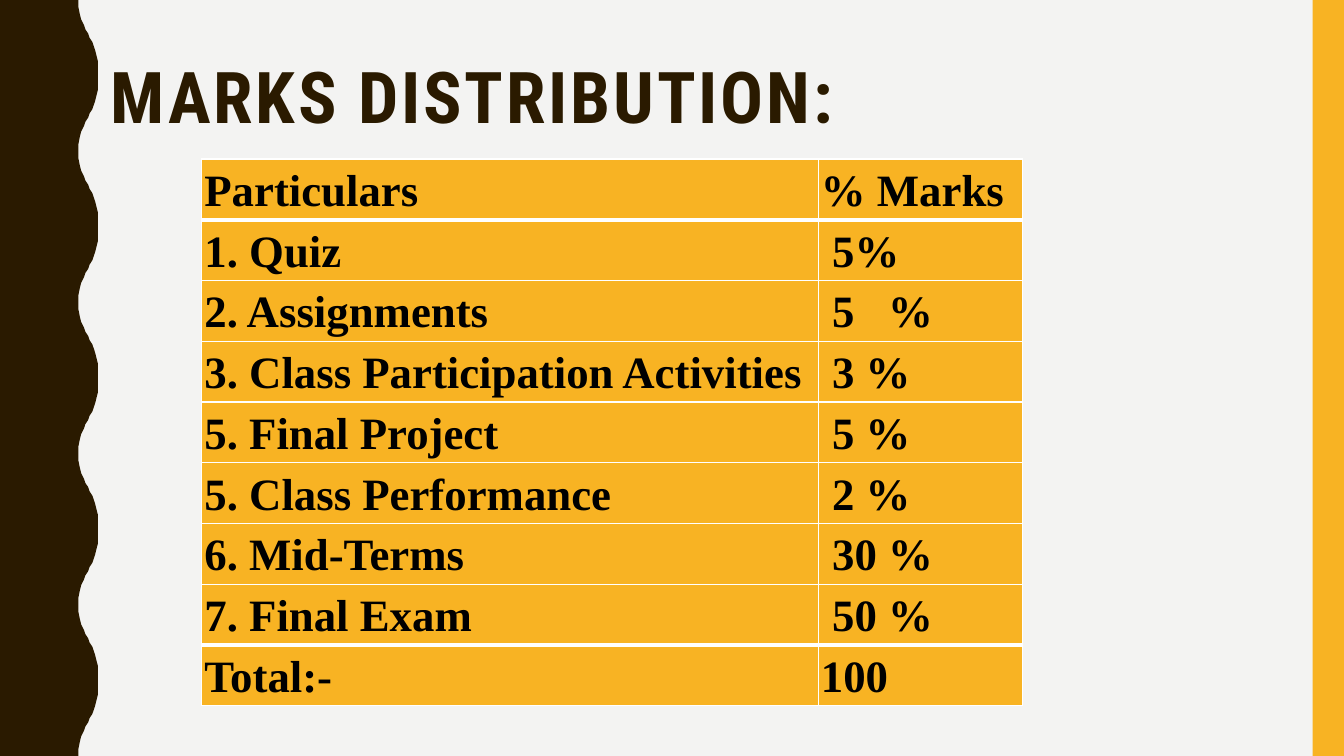
"""Build the marks distribution slide."""
from lxml import etree
from pptx import Presentation
from pptx import util as u
from pptx.dml.color import RGBColor
from pptx.enum import shapes, text
from pptx.oxml.ns import qn

COLORS = {"bg": "F3F3F2", "brown": "2A1A00", "gold": "F8B323", "black": "000000", "white": "FFFFFF"}
TITLE_FONT = {"name": "Roboto Condensed", "size": u.Pt(51), "bold": True}
CELL_FONT = {"name": "Times New Roman", "size": u.Pt(32), "bold": True}
CELL_FORMAT = {"margin_left": u.Pt(2), "margin_right": u.Pt(2), "margin_top": 0, "margin_bottom": 0,
               "vertical_anchor": text.MSO_ANCHOR.MIDDLE}
ROWS = [
    ("Particulars", "% Marks"),
    ("1. Quiz", "5%"),
    ("2. Assignments", "5\t%"),
    ("3. Class Participation Activities", "3 %"),
    ("5. Final Project", "5 %"),
    ("5. Class Performance", "2 %"),
    ("6. Mid-Terms", "30 %"),
    ("7. Final Exam", "50 %"),
    ("Total:-", "100"),
]
HALF_WAVE = [(56, 0), (56.3, 5), (57, 10), (58.2, 14.4), (59.6, 18), (61.1, 21), (62.6, 24), (64.1, 27),
             (65.6, 30), (67, 33), (68.4, 36.4), (69.2, 39.6), (69.7, 44), (70, 49), (70, 54)]
WAVE = 108


def paint(sp, color):
    sp.shadow.inherit = False
    sp.fill.solid()
    sp.fill.fore_color.rgb = RGBColor.from_string(COLORS[color])
    sp.line.fill.background()


def write(p, words, font, color, spacing):
    p.line_spacing = spacing
    r = p.add_run()
    r.text = words
    for name, value in font.items():
        setattr(r.font, name, value)
    r.font.color.rgb = RGBColor.from_string(COLORS[color])
    return r


prs = Presentation()
prs.slide_width, prs.slide_height = u.Pt(960), u.Pt(540)
s = prs.slides.add_slide(prs.slide_layouts[6])
s.background.fill.solid()
s.background.fill.fore_color.rgb = RGBColor.from_string(COLORS["bg"])

wave = HALF_WAVE + [(x, WAVE - y) for x, y in HALF_WAVE[-2::-1]]
edge = [(x, y + WAVE * i) for i in range(5) for x, y in wave]
outline = s.shapes.build_freeform(0, 0, scale=u.Pt(1))
outline.add_line_segments(edge + [(0, 540)], close=True)
paint(outline.convert_to_shape(), "brown")

bar = s.shapes.add_shape(shapes.MSO_SHAPE.RECTANGLE, u.Pt(937.6), 0, u.Pt(22.4), u.Pt(540))
paint(bar, "gold")

title = s.shapes.add_textbox(u.Pt(72), u.Pt(39.6), u.Pt(658), u.Pt(64.8))
tf = title.text_frame
tf.word_wrap = True
tf.vertical_anchor = text.MSO_ANCHOR.MIDDLE
r = write(tf.paragraphs[0], "MARKS DISTRIBUTION:", TITLE_FONT, "brown", 0.9)
r.font._element.set("spc", "200")

last = len(ROWS) - 1
table = s.shapes.add_table(len(ROWS), 2, u.Pt(144), u.Pt(113.6), u.Pt(586.4), u.Pt(390.6)).table
for column, width in zip(table.columns, (440.4, 146)):
    column.width = u.Pt(width)
for i, row in enumerate(ROWS):
    table.rows[i].height = u.Pt(43.4)
    for j, words in enumerate(row):
        cell = table.cell(i, j)
        for name, value in CELL_FORMAT.items():
            setattr(cell, name, value)
        if j == 1 and 0 < i < last:
            cell.margin_left = u.Pt(10)
        p = cell.text_frame.paragraphs[0]
        write(p, words, CELL_FONT, "black", 1.07)
        if "\t" in words:
            tabs = etree.SubElement(p._p.get_or_add_pPr(), qn("a:tabLst"))
            etree.SubElement(tabs, qn("a:tab"), pos=str(u.Pt(40)), algn="l")
        tcPr = cell._tc.get_or_add_tcPr()
        widths = {"lnL": 1, "lnR": 1, "lnT": 3 if i in (1, last) else 1, "lnB": 3 if i in (0, last - 1) else 1}
        for side, width in widths.items():
            ln = etree.SubElement(tcPr, qn(f"a:{side}"), w=str(u.Pt(width)))
            fill = etree.SubElement(ln, qn("a:solidFill"))
            etree.SubElement(fill, qn("a:srgbClr"), val=COLORS["white"])
        cell.fill.solid()
        cell.fill.fore_color.rgb = RGBColor.from_string(COLORS["gold"])

prs.save("out.pptx")
